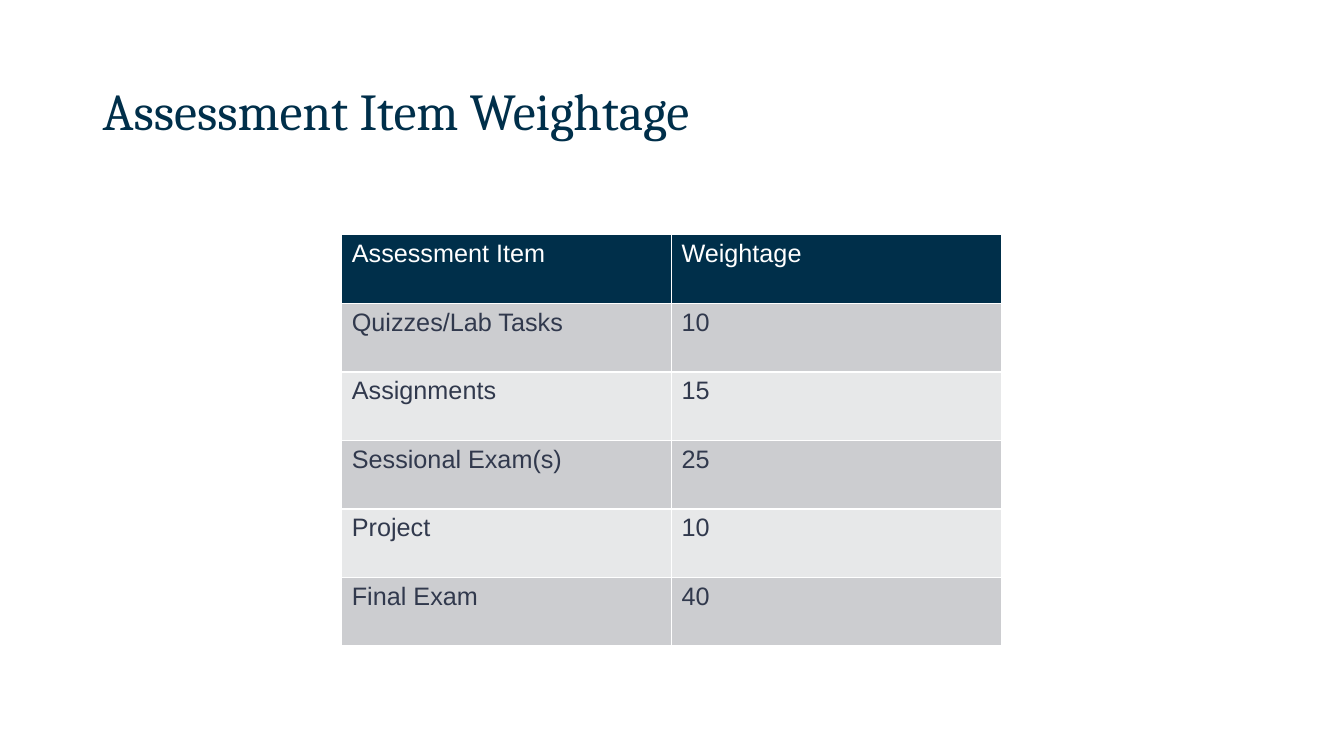
from dataclasses import dataclass

from pptx import Presentation
from pptx.dml.color import RGBColor
from pptx.enum.text import MSO_ANCHOR
from pptx.util import Inches, Pt

NAVY = RGBColor(0x00, 0x2F, 0x4A)
SLATE = RGBColor(0x31, 0x39, 0x4D)
WHITE = RGBColor(0xFF, 0xFF, 0xFF)
GREY = RGBColor(0xCC, 0xCD, 0xD0)
PALE = RGBColor(0xE7, 0xE8, 0xE9)

SLIDE_WIDTH, SLIDE_HEIGHT = 13.33, 7.5
COLUMN, ROW = 3.27, 0.68  # table grid, in inches


@dataclass(frozen=True)
class Assessment:
    item: str
    weightage: str


HEADER = Assessment("Assessment Item", "Weightage")
ASSESSMENTS = [
    Assessment("Quizzes/Lab Tasks", "10"),
    Assessment("Assignments", "15"),
    Assessment("Sessional Exam(s)", "25"),
    Assessment("Project", "10"),
    Assessment("Final Exam", "40"),
]


def style_text(paragraph, face: str, size: float, color: RGBColor) -> None:
    font = paragraph.font
    font.name, font.size, font.bold = face, Pt(size), False
    font.color.rgb = color


def add_title(slide, text: str) -> None:
    margin = 0.92
    title = slide.shapes.add_textbox(
        Inches(margin), Inches(0.4),
        Inches(SLIDE_WIDTH - 2 * margin), Inches(1.45))
    frame = title.text_frame
    frame.word_wrap = True
    frame.vertical_anchor = MSO_ANCHOR.MIDDLE
    heading = frame.paragraphs[0]
    heading.text = text
    heading.line_spacing = 0.9
    style_text(heading, "Cambria", 37, NAVY)


def fill_row(table, row: int, entry: Assessment,
             fill: RGBColor, color: RGBColor) -> None:
    table.rows[row].height = Inches(ROW)
    for column, text in enumerate((entry.item, entry.weightage)):
        cell = table.cell(row, column)
        cell.text = text
        cell.fill.solid()
        cell.fill.fore_color.rgb = fill
        style_text(cell.text_frame.paragraphs[0], "Arial", 18, color)


def add_weightage_table(slide) -> None:
    rows = 1 + len(ASSESSMENTS)
    # The default table style supplies the white cell borders
    table = slide.shapes.add_table(
        rows, 2, Inches(3.39), Inches(2.33),
        Inches(2 * COLUMN), Inches(rows * ROW)).table
    fill_row(table, 0, HEADER, NAVY, WHITE)
    for row, assessment in enumerate(ASSESSMENTS, start=1):
        fill_row(table, row, assessment, GREY if row % 2 else PALE, SLATE)


def main() -> None:
    deck = Presentation()
    deck.slide_width = Inches(SLIDE_WIDTH)
    deck.slide_height = Inches(SLIDE_HEIGHT)
    slide = deck.slides.add_slide(deck.slide_layouts[6])

    # Heading
    add_title(slide, "Assessment Item Weightage")
    # Weight of each assessment
    add_weightage_table(slide)

    deck.save("out.pptx")


if __name__ == "__main__":
    main()
